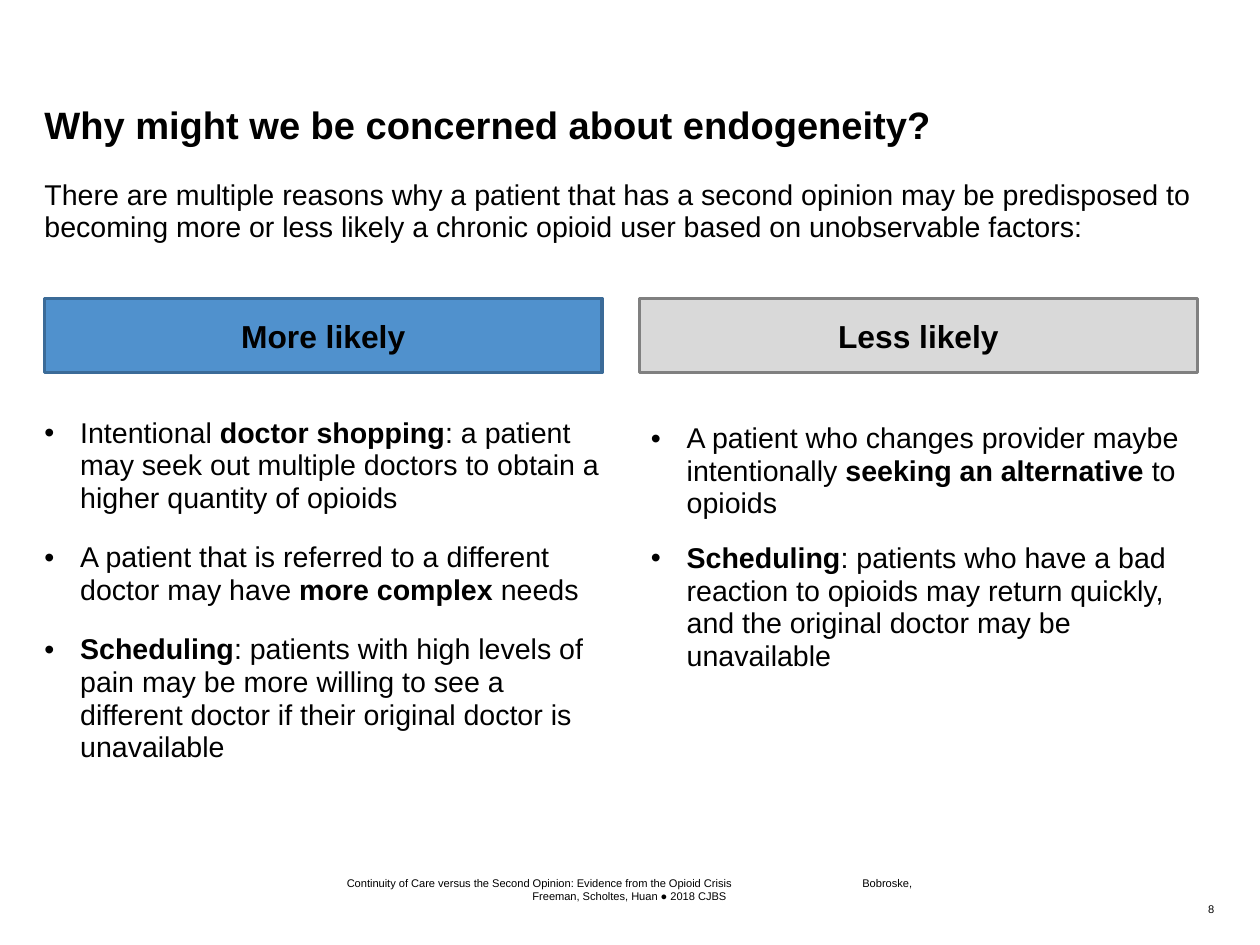
import pptx
import pptx.util
import pptx.dml.color
import pptx.enum.shapes
import pptx.enum.text
import lxml.etree

Pt = pptx.util.Pt
Align = pptx.enum.text.PP_ALIGN
Anchor = pptx.enum.text.MSO_ANCHOR
COLORS = {"text": "000000", "more": "5091CD", "more_edge": "3B6B98",
          "less": "D9D9D9", "less_edge": "808080"}
LEFT, RIGHT = 28, 403.2
WIDE, HALF = 737.3, 351.4
INDENT = 22.5

MORE = [
    "Intentional *doctor shopping*: a patient may seek out multiple doctors to obtain a higher quantity of opioids",
    "A patient that is referred to a different doctor may have *more complex *needs",
    "*Scheduling*: patients with high levels of pain may be more willing to see a different doctor "
    "if their original doctor is unavailable",
]
LESS = [
    "A patient who changes provider maybe intentionally *seeking an alternative *to opioids",
    "*Scheduling*: patients who have a bad reaction to opioids may return quickly, "
    "and the original doctor may be unavailable",
]


def color(name):
    return pptx.dml.color.RGBColor.from_string(COLORS[name])


def set_font(par, size, bold=None):
    par.font.name = "Arial"
    par.font.size = Pt(size)
    par.font.bold = bold
    par.font.color.rgb = color("text")


def set_space(par, before, after):
    par.line_spacing = 0.95
    par.space_before = Pt(before)
    par.space_after = Pt(after)


def add_tag(parent, tag, **attrs):
    return lxml.etree.SubElement(parent, pptx.oxml.ns.qn(tag), attrs)


def add_frame(slide, box, insets=(0, 0, 0, 0), anchor=Anchor.TOP):
    frame = slide.shapes.add_textbox(*map(Pt, box)).text_frame
    frame.word_wrap = True
    frame.vertical_anchor = anchor
    (frame.margin_left, frame.margin_top,
     frame.margin_right, frame.margin_bottom) = map(Pt, insets)
    return frame


def add_text(slide, box, text, size, bold=None, align=Align.LEFT, **layout):
    par = add_frame(slide, box, **layout).paragraphs[0]
    par.text = text
    par.alignment = align
    set_font(par, size, bold)
    return par


def add_header(slide, left, text, fill, edge):
    shape = slide.shapes.add_shape(
        pptx.enum.shapes.MSO_SHAPE.RECTANGLE, Pt(left), Pt(188), Pt(HALF), Pt(46.8))
    shape.shadow.inherit = False
    shape.fill.solid()
    shape.fill.fore_color.rgb = color(fill)
    shape.line.color.rgb = color(edge)
    shape.line.width = Pt(2)
    shape.text_frame.vertical_anchor = Anchor.MIDDLE
    par = shape.text_frame.paragraphs[0]
    par.text = text
    par.alignment = Align.CENTER
    set_font(par, 20, True)


def add_list(slide, left, items, after, insets):
    frame = add_frame(slide, (left, 262.8, HALF, 281.5), insets)
    for index, item in enumerate(items):
        par = frame.add_paragraph() if index else frame.paragraphs[0]
        set_font(par, 18)
        set_space(par, 8, after)
        props = par._p.get_or_add_pPr()
        props.set("marL", str(Pt(INDENT)))
        props.set("indent", str(Pt(-INDENT)))
        tint = add_tag(props, "a:buClr")
        add_tag(tint, "a:srgbClr", val=COLORS["text"])
        add_tag(props, "a:buFont", typeface="Arial")
        add_tag(props, "a:buChar", char="•")
        props.append(props.find(pptx.oxml.ns.qn("a:defRPr")))
        for turn, part in enumerate(item.split("*")):
            if part:
                run = par.add_run()
                run.text = part
                run.font.bold = turn % 2 == 1


def add_footer(slide):
    par = add_text(
        slide, (216, 551.5, 361.4, 17.3),
        "Continuity of Care versus the Second Opinion: Evidence from the Opioid Crisis"
        "\tBobroske, Freeman, Scholtes, Huan ● 2018 CJBS",
        7, align=Align.CENTER, anchor=Anchor.BOTTOM)
    props = par._p.get_or_add_pPr()
    tabs = add_tag(props, "a:tabLst")
    add_tag(tabs, "a:tab", pos=str(Pt(325)), algn="l")
    props.append(props.find(pptx.oxml.ns.qn("a:defRPr")))
    add_text(slide, (632.9, 568.8, 132.5, 11.5), "8", 7, align=Align.RIGHT)


def main():
    deck = pptx.Presentation()
    deck.slide_width, deck.slide_height = Pt(794.16), Pt(595.44)
    slide = deck.slides.add_slide(deck.slide_layouts[6])
    add_text(slide, (LEFT, 41.8, WIDE, 56.9), "Why might we be concerned about endogeneity?",
             24, True, insets=(0, 0, 0, 5.8), anchor=Anchor.BOTTOM)
    intro = add_text(
        slide, (LEFT, 113, WIDE, 56.9),
        "There are multiple reasons why a patient that has a second opinion may be predisposed to "
        "becoming more or less likely a chronic opioid user based on unobservable factors:", 18)
    set_space(intro, 3, 9)
    add_header(slide, LEFT, "More likely", "more", "more_edge")
    add_header(slide, RIGHT, "Less likely", "less", "less_edge")
    add_list(slide, LEFT, MORE, 9, (0, 0, 0, 0))
    add_list(slide, RIGHT, LESS, 6, (7.2, 3.6, 7.2, 3.6))
    add_footer(slide)
    deck.save("out.pptx")


if __name__ == "__main__":
    main()
